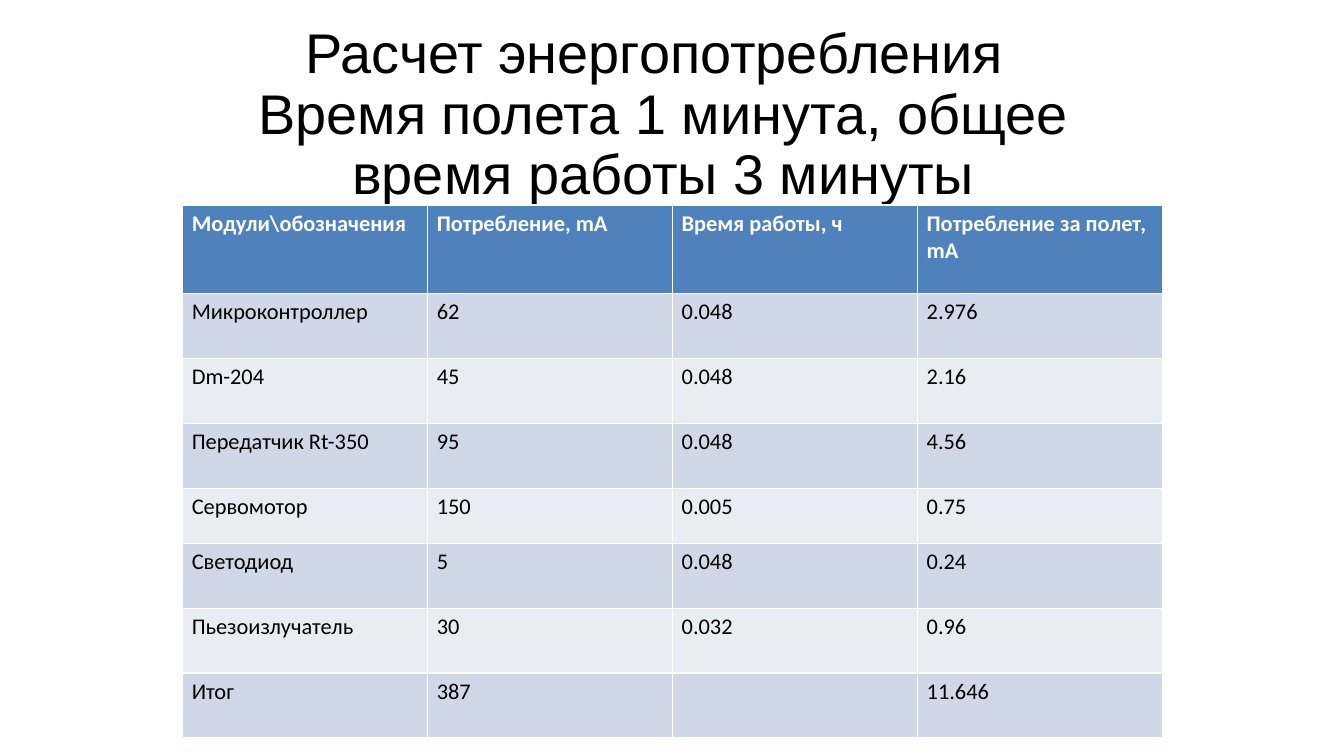
from dataclasses import dataclass

from lxml.etree import SubElement
from pptx import Presentation
from pptx.dml.color import RGBColor as Rgb
from pptx.enum.text import MSO_ANCHOR as Anchor, MSO_AUTO_SIZE as AutoSize, PP_ALIGN as Align
from pptx.oxml.ns import qn
from pptx.util import Pt


@dataclass(frozen=True)
class Theme:
    title_font: str = "Arial"
    table_font: str = "Calibri"
    title_size: float = 39.9
    table_size: float = 16
    ink: str = "000000"
    paper: str = "FFFFFF"
    header: str = "4F81BD"
    bands: tuple = ("D0D8E7", "E9ECF3")
    border: float = 0.96


TITLE = "Расчет энергопотребления\vВремя полета 1 минута, общее время работы 3 минуты"
HEADINGS = ["Модули\\обозначения", "Потребление, mA", "Время работы, ч", "Потребление за полет, mA"]
MODULES = [
    ["Микроконтроллер", "62", "0.048", "2.976"],
    ["Dm-204", "45", "0.048", "2.16"],
    ["Передатчик Rt-350", "95", "0.048", "4.56"],
    ["Сервомотор", "150", "0.005", "0.75"],
    ["Светодиод", "5", "0.048", "0.24"],
    ["Пьезоизлучатель", "30", "0.032", "0.96"],
    ["Итог", "387", "", "11.646"],
]
ROW_HEIGHTS = [63.2] + [46.4] * 3 + [39.3] + [46.4] * 3


def apply(target, **values):
    for name, value in values.items():
        setattr(target, name, value)


class SlideBuilder:
    def __init__(self, page, theme):
        self.page = page
        self.theme = theme

    def fill_text(self, frame, text, color, font, size, bold=False, **para_format):
        frame.text = text
        for para in frame.paragraphs:
            apply(para, **para_format)
            for span in para.runs:
                apply(span.font, name=font, size=Pt(size), bold=bold)
                span.font.color.rgb = Rgb.from_string(color)

    def title(self, text, left, top, width, height):
        theme = self.theme
        box = self.page.shapes.title
        apply(box, left=Pt(left), top=Pt(top), width=Pt(width), height=Pt(height))
        frame = box.text_frame
        apply(frame, margin_left=0, margin_right=0, margin_top=0, margin_bottom=0,
              word_wrap=True, auto_size=AutoSize.NONE, vertical_anchor=Anchor.MIDDLE)
        self.fill_text(frame, text, theme.ink, theme.title_font, theme.title_size,
                       alignment=Align.CENTER, line_spacing=0.9, space_before=Pt(7.5))
        props = frame.paragraphs[0]._p.get_or_add_pPr()
        props.set("marL", str(Pt(13.5)))
        props.set("indent", str(Pt(-13)))

    def cell_borders(self, cell):
        props = cell._tc.get_or_add_tcPr()
        for side in ("a:lnL", "a:lnR", "a:lnT", "a:lnB"):
            line = SubElement(props, qn(side), w=str(Pt(self.theme.border)))
            fill = SubElement(line, qn("a:solidFill"))
            SubElement(fill, qn("a:srgbClr"), val=self.theme.paper)

    def table(self, rows, left, top, column_width, row_heights):
        theme = self.theme
        columns = len(rows[0])
        table = self.page.shapes.add_table(
            len(rows), columns, Pt(left), Pt(top),
            Pt(column_width * columns), Pt(sum(row_heights))).table
        apply(table, first_row=False, horz_banding=False)
        for column in table.columns:
            column.width = Pt(column_width)
        for index, texts in enumerate(rows):
            is_header = index == 0
            table.rows[index].height = Pt(row_heights[index])
            fill = theme.header if is_header else theme.bands[(index - 1) % 2]
            color = theme.paper if is_header else theme.ink
            for cell, text in zip(table.rows[index].cells, texts):
                apply(cell, margin_left=Pt(6.5), margin_right=Pt(6.5),
                      margin_top=Pt(3.6), margin_bottom=Pt(3.6), vertical_anchor=Anchor.TOP)
                self.cell_borders(cell)
                cell.fill.solid()
                cell.fill.fore_color.rgb = Rgb.from_string(fill)
                self.fill_text(cell.text_frame, text, color, theme.table_font, theme.table_size,
                               bold=is_header, alignment=Align.LEFT, line_spacing=0.98)


def main():
    deck = Presentation()
    apply(deck, slide_width=Pt(960), slide_height=Pt(540))
    title_only = deck.slide_layouts[5]
    builder = SlideBuilder(deck.slides.add_slide(title_only), Theme())
    builder.title(TITLE, 143.3, -1.4, 648, 168.5)
    builder.table([HEADINGS] + MODULES, 130.5, 146.4, 175, ROW_HEIGHTS)
    deck.save("out.pptx")


if __name__ == "__main__":
    main()
